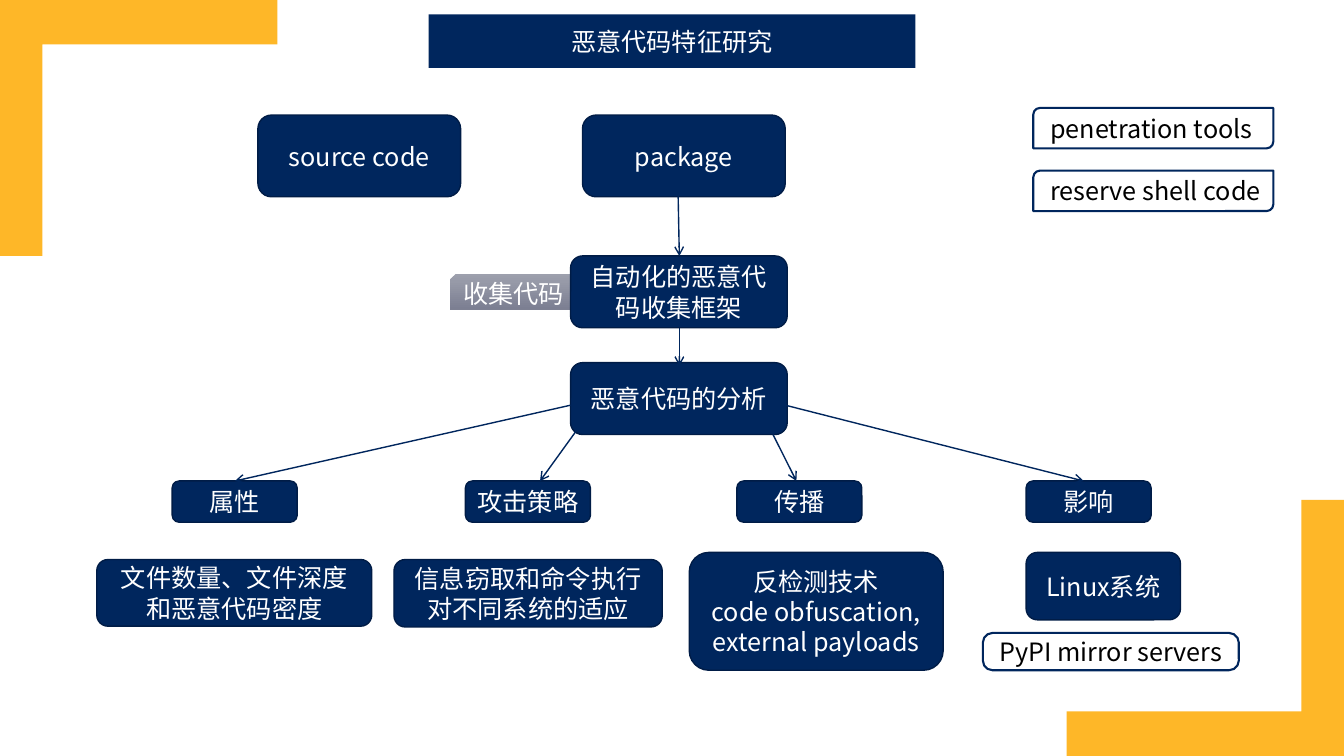
from lxml.etree import SubElement
from pptx import Presentation
from pptx.dml.color import RGBColor
from pptx.enum.shapes import MSO_CONNECTOR, MSO_SHAPE
from pptx.enum.text import MSO_ANCHOR, MSO_AUTO_SIZE, PP_ALIGN
from pptx.oxml import parse_xml
from pptx.oxml.ns import nsdecls, qn
from pptx.util import Cm, Pt

COLORS = {
    "navy": "00265D",
    "edge": "001C46",
    "amber": "FEB728",
    "white": "FFFFFF",
    "black": "000000",
    "gray_top": "9DA0AD",
    "gray_bottom": "7C7F92",
}
FONT = "Noto Sans CJK SC"


def rgb(name):
    return RGBColor.from_string(COLORS[name])


def write(shape, text, color="white", size=18, align=PP_ALIGN.CENTER, margin=0.25, wrap=True):
    frame = shape.text_frame
    frame.word_wrap = wrap
    frame.auto_size = MSO_AUTO_SIZE.NONE
    frame.vertical_anchor = MSO_ANCHOR.MIDDLE
    frame.margin_left = frame.margin_right = Cm(margin)
    frame.margin_top = frame.margin_bottom = 0
    frame.text = text
    for paragraph in frame.paragraphs:
        paragraph.alignment = align
        for run in paragraph.runs:
            run.font.size = Pt(size)
            run.font.name = FONT
            run.font.color.rgb = rgb(color)
            SubElement(run.font._element, qn("a:ea"), typeface=FONT)


def add_block(slide, preset, box, fill=None, edge=None, edge_width=1):
    block = slide.shapes.add_shape(preset, *map(Cm, box))
    block.shadow.inherit = False
    if fill:
        block.fill.solid()
        block.fill.fore_color.rgb = rgb(fill)
    else:
        block.fill.background()
    if edge:
        block.line.color.rgb = rgb(edge)
        block.line.width = Pt(edge_width)
    else:
        block.line.fill.background()
    return block


def add_corner(slide, box, flip):
    corner = add_block(slide, MSO_SHAPE.CORNER, box, fill="amber")
    corner.adjustments[0] = 0.174
    corner.adjustments[1] = 0.166
    corner._element.spPr.find(qn("a:xfrm")).set(flip, "1")


def add_title(slide, text, box):
    title = slide.shapes.title
    title.left, title.top, title.width, title.height = map(Cm, box)
    title._element.spPr.append(parse_xml(
        f'<a:prstGeom {nsdecls("a")} prst="roundRect"><a:avLst>'
        '<a:gd name="adj" fmla="val 25900"/></a:avLst></a:prstGeom>'))
    title.fill.solid()
    title.fill.fore_color.rgb = rgb("navy")
    write(title, text)


def add_step(slide, text, box, **text_format):
    step = add_block(slide, MSO_SHAPE.FLOWCHART_ALTERNATE_PROCESS, box, "navy", "edge")
    write(step, text, **text_format)


def add_outlined(slide, text, preset, box, **text_format):
    label = add_block(slide, preset, box, edge="navy", edge_width=1.5)
    write(label, text, color="black", wrap=False, **text_format)
    return label


def add_collect_tag(slide, text, box):
    tag = add_block(slide, MSO_SHAPE.SNIP_2_SAME_RECTANGLE, box)
    tag.fill.gradient()
    tag.fill.gradient_angle = 270
    for stop, color, position in zip(tag.fill.gradient_stops, ("gray_top", "gray_bottom"), (0, 1)):
        stop.color.rgb = rgb(color)
        stop.position = position
    write(tag, text)


def add_arrow(slide, start, end):
    arrow = slide.shapes.add_connector(MSO_CONNECTOR.STRAIGHT, *map(Cm, start + end))
    arrow.line.color.rgb = rgb("navy")
    arrow.line.width = Pt(1)
    SubElement(arrow.line._get_or_add_ln(), qn("a:tailEnd"), type="arrow")
    SubElement(arrow._element.spPr, qn("a:effectLst"))


def main():
    deck = Presentation()
    deck.slide_width, deck.slide_height = Cm(33.87), Cm(19.05)
    slide = deck.slides.add_slide(deck.slide_layouts[5])

    add_corner(slide, (26.88, 12.6, 6.99, 6.45), "flipH")
    add_corner(slide, (0, 0, 6.99, 6.45), "flipV")
    add_title(slide, "恶意代码特征研究", (10.8, 0.36, 12.27, 1.35))

    for text, left in (("source code", 6.5), ("package", 14.68)):
        add_step(slide, text, (left, 2.9, 5.11, 2.06))
    add_collect_tag(slide, "收集代码", (11.33, 6.91, 3.23, 0.89))
    for text, top in (("自动化的恶意代码收集框架", 6.45), ("恶意代码的分析", 9.14)):
        add_step(slide, text, (14.38, top, 5.46, 1.81))

    category_top = 12.12
    for text, left in (("属性", 4.34), ("攻击策略", 11.73), ("传播", 18.57), ("影响", 25.86)):
        add_step(slide, text, (left, category_top, 3.15, 1.04), margin=0)

    findings = (
        ("文件数量、文件深度和恶意代码密度", (2.44, 14.1, 6.93, 1.68)),
        ("信息窃取和命令执行\n对不同系统的适应", (9.93, 14.1, 6.76, 1.7)),
        ("反检测技术\ncode obfuscation, external payloads", (17.37, 13.92, 6.4, 2.97)),
        ("Linux系统", (25.86, 13.92, 3.89, 1.7)),
    )
    for text, box in findings:
        add_step(slide, text, box)

    for text, top in (("penetration tools", 2.72), ("reserve shell code", 4.3)):
        add_outlined(slide, text, MSO_SHAPE.ROUND_2_DIAG_RECTANGLE, (26.04, top, 6.05, 1.02),
                     align=PP_ALIGN.LEFT, margin=0.38)
    mirror = add_outlined(slide, "PyPI mirror servers", MSO_SHAPE.ROUNDED_RECTANGLE,
                          (24.77, 15.95, 6.45, 0.94))
    mirror.adjustments[0] = 0.259

    arrows = (
        ((17.09, 4.95), (17.12, 6.45)),
        ((17.12, 8.26), (17.12, 9.22)),
        ((14.38, 10.21), (5.92, category_top)),
        ((14.73, 10.57), (13.61, category_top)),
        ((19.48, 10.95), (20.07, category_top)),
        ((19.79, 10.21), (27.31, category_top)),
    )
    for start, end in arrows:
        add_arrow(slide, start, end)

    deck.save("out.pptx")


if __name__ == "__main__":
    main()
